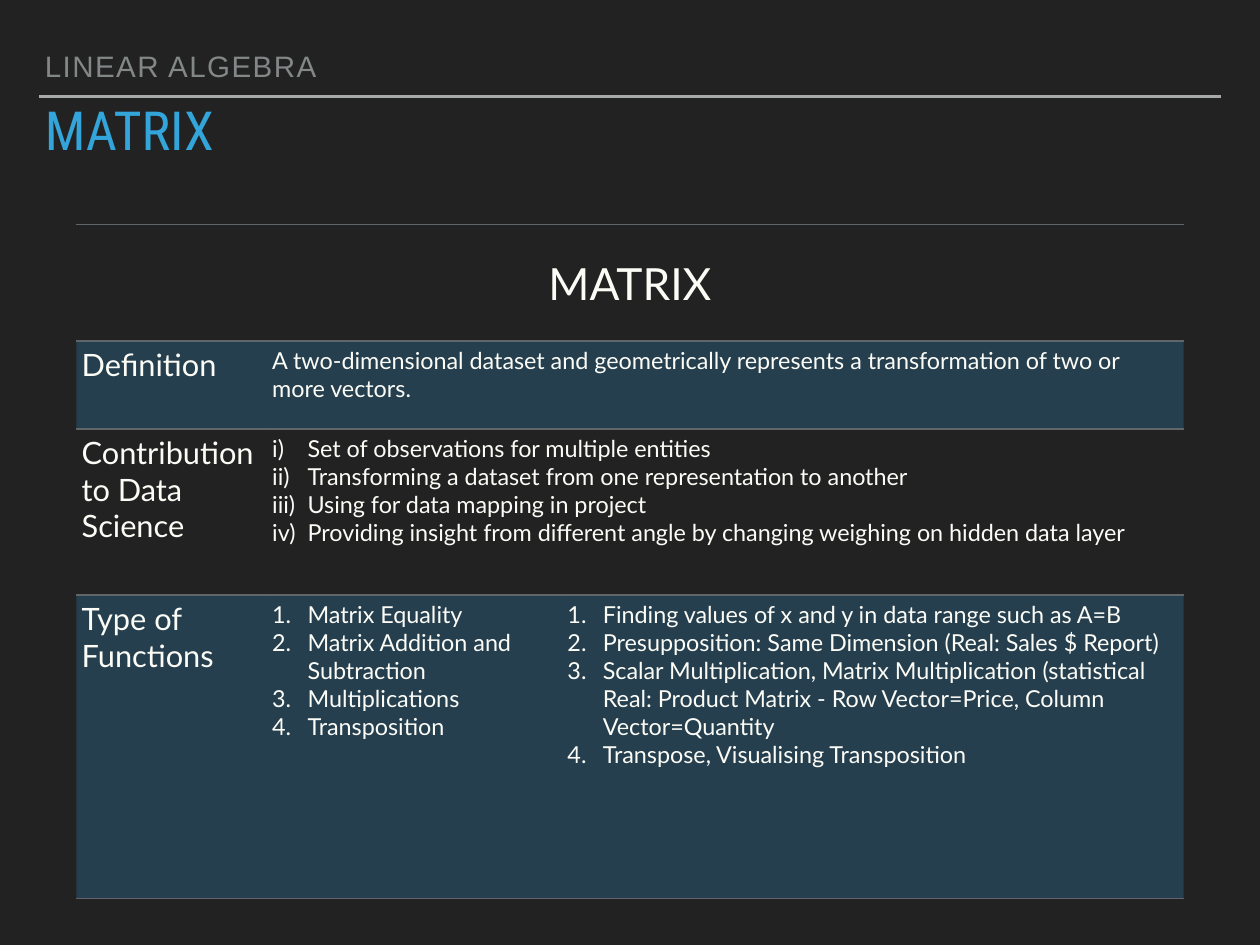
from lxml.etree import SubElement
from pptx import Presentation
from pptx.dml.color import RGBColor
from pptx.enum.shapes import MSO_CONNECTOR
from pptx.enum.text import MSO_ANCHOR, MSO_AUTO_SIZE, PP_ALIGN
from pptx.oxml.ns import qn
from pptx.util import Inches, Pt

COLUMNS, ROWS = 128, 96
INSET, HANGING = 0.55, 3.6
COLUMN_WIDTHS = [19.35, 30, 35, 28.15]
ROW_HEIGHTS = [11.8, 8.9, 16.9, 30.85]
RULE, BAND, CREAM = "5F6568", "2E87BB", "FCFCF7"
NO_GRID = "{2D5ABB26-0587-4C30-8999-92F81FD0307C}"

DEFINITION = ("A two-dimensional dataset and geometrically represents "
              "a transformation of two or more vectors.")
CONTRIBUTIONS = [
    "Set of observations for multiple entities",
    "Transforming a dataset from one representation to another",
    "Using for data mapping in project",
    "Providing insight from different angle by changing weighing on hidden data layer",
]
FUNCTIONS = ["Matrix Equality", "Matrix Addition and Subtraction",
             "Multiplications", "Transposition"]
USES = [
    "Finding values of x and y in data range such as A=B",
    "Presupposition: Same Dimension (Real: Sales $ Report)",
    "Scalar Multiplication, Matrix Multiplication (statistical Real: "
    "Product Matrix - Row Vector=Price, Column Vector=Quantity",
    "Transpose, Visualising Transposition",
]


def grid(units):
    """Turn grid units, square and a ninth of an inch wide, into a length."""
    return Inches(units / 9)


def colour(hex_string):
    """Turn a hex string into a colour."""
    return RGBColor.from_string(hex_string)


def write(frame, lines, size, font="Lato", ink=CREAM, align=PP_ALIGN.LEFT,
          spacing=1.0, before=0, tracking=0, numbering=None):
    """Fill a text frame with paragraphs in one format."""
    lines = [lines] if isinstance(lines, str) else lines
    for index, line in enumerate(lines):
        paragraph = frame.add_paragraph() if index else frame.paragraphs[0]
        paragraph.alignment = align
        paragraph.line_spacing = spacing
        paragraph.space_before = Pt(before)
        run = paragraph.add_run()
        run.text = line
        run.font.name, run.font.size, run.font.bold = font, Pt(size), False
        run.font.color.rgb = colour(ink)
        if tracking:
            run.font._element.set("spc", str(round(tracking * 100)))
        if numbering:
            properties = paragraph._p.get_or_add_pPr()
            properties.set("marL", str(grid(HANGING)))
            properties.set("indent", str(-grid(HANGING)))
            SubElement(properties, qn("a:buFont"), typeface="+mj-lt")
            SubElement(properties, qn("a:buAutoNum"), type=numbering)


def set_margins(holder):
    """Give a cell or text frame the same inset on every side."""
    holder.margin_left = holder.margin_right = grid(INSET)
    holder.margin_top = holder.margin_bottom = grid(INSET)


def place_heading(placeholder, text, left, top, width, height, anchor, **text_format):
    """Move a placeholder on the grid and write its text."""
    placeholder.left, placeholder.top = grid(left), grid(top)
    placeholder.width, placeholder.height = grid(width), grid(height)
    frame = placeholder.text_frame
    frame.auto_size, frame.word_wrap = MSO_AUTO_SIZE.NONE, True
    frame.vertical_anchor = anchor
    set_margins(frame)
    write(frame, text, **text_format)


def add_header_rule(slide, left, right, top):
    """Draw the line between the two headings."""
    rule = slide.shapes.add_connector(
        MSO_CONNECTOR.STRAIGHT, grid(left), grid(top), grid(right), grid(top))
    rule.line.color.rgb = colour("A6AAA9")
    rule.line.width = Pt(2)
    SubElement(rule._element.spPr, qn("a:effectLst"))


def rule_cell(cell, top, bottom):
    """Draw horizontal borders of the given widths in points."""
    properties = cell._tc.get_or_add_tcPr()
    for side, width in (("lnL", 0), ("lnR", 0), ("lnT", top), ("lnB", bottom)):
        border = SubElement(properties, qn(f"a:{side}"), w=str(Pt(width)))
        if width:
            paint = SubElement(border, qn("a:solidFill"))
            SubElement(paint, qn("a:srgbClr"), val=RULE)
        else:
            SubElement(border, qn("a:noFill"))


def shade_cell(cell, banded):
    """Fill a banded cell with translucent blue and leave others clear."""
    if not banded:
        cell.fill.background()
        return
    cell.fill.solid()
    cell.fill.fore_color.rgb = colour(BAND)
    for tint in cell._tc.tcPr.findall(f"{qn('a:solidFill')}/{qn('a:srgbClr')}"):
        SubElement(tint, qn("a:alpha"), val="29000")


def add_matrix_table(slide, left, top):
    """Add the ruled, banded table with its merged cells, still empty."""
    frame = slide.shapes.add_table(
        len(ROW_HEIGHTS), len(COLUMN_WIDTHS), grid(left), grid(top),
        grid(sum(COLUMN_WIDTHS)), grid(sum(ROW_HEIGHTS)))
    table = frame.table
    table.first_row = table.horz_banding = False
    table._tbl.tblPr.find(qn("a:tableStyleId")).text = NO_GRID
    for column, width in zip(table.columns, COLUMN_WIDTHS):
        column.width = grid(width)
    last = len(ROW_HEIGHTS) - 1
    for index, (row, height) in enumerate(zip(table.rows, ROW_HEIGHTS)):
        row.height = grid(height)
        for cell in row.cells:
            set_margins(cell)
            rule_cell(cell, 2 if index else 1, 2 if index < last else 1)
            shade_cell(cell, index % 2 == 1)
    for index, first in enumerate([0, 1, 1, 2]):
        table.cell(index, first).merge(table.cell(index, len(COLUMN_WIDTHS) - 1))
    return table


def main():
    """Build the slide and save it."""
    deck = Presentation()
    deck.slide_width, deck.slide_height = grid(COLUMNS), grid(ROWS)
    slide = deck.slides.add_slide(deck.slide_layouts[2])
    slide.background.fill.solid()
    slide.background.fill.fore_color.rgb = colour("222222")

    add_header_rule(slide, 4, 124, 9.8)
    place_heading(slide.placeholders[1], "LINEAR ALGEBRA", 4, 4.5, 110, 4.5,
                  MSO_ANCHOR.BOTTOM, size=24, font="Arial", ink="838787",
                  spacing=0.8, tracking=1.2)
    place_heading(slide.shapes.title, "MATRIX", 4, 10.5, 120, 6.6,
                  MSO_ANCHOR.TOP, size=43.8, font="Roboto Condensed",
                  ink="34A5DA", spacing=0.8, before=20)

    table = add_matrix_table(slide, 7.75, 22.85)
    banner = table.cell(0, 0)
    banner.vertical_anchor = MSO_ANCHOR.MIDDLE
    write(banner.text_frame, "MATRIX", 36, align=PP_ALIGN.CENTER)
    topics = ["Definition", "Contribution to Data Science", "Type of Functions"]
    for row, topic in enumerate(topics, start=1):
        write(table.cell(row, 0).text_frame, topic, 25)
    details = [(1, 1, DEFINITION, None),
               (2, 1, CONTRIBUTIONS, "romanLcParenR"),
               (3, 1, FUNCTIONS, "arabicPeriod"),
               (3, 2, USES, "arabicPeriod")]
    for row, column, lines, numbering in details:
        write(table.cell(row, column).text_frame, lines, 19, numbering=numbering)
    deck.save("out.pptx")


if __name__ == "__main__":
    main()
